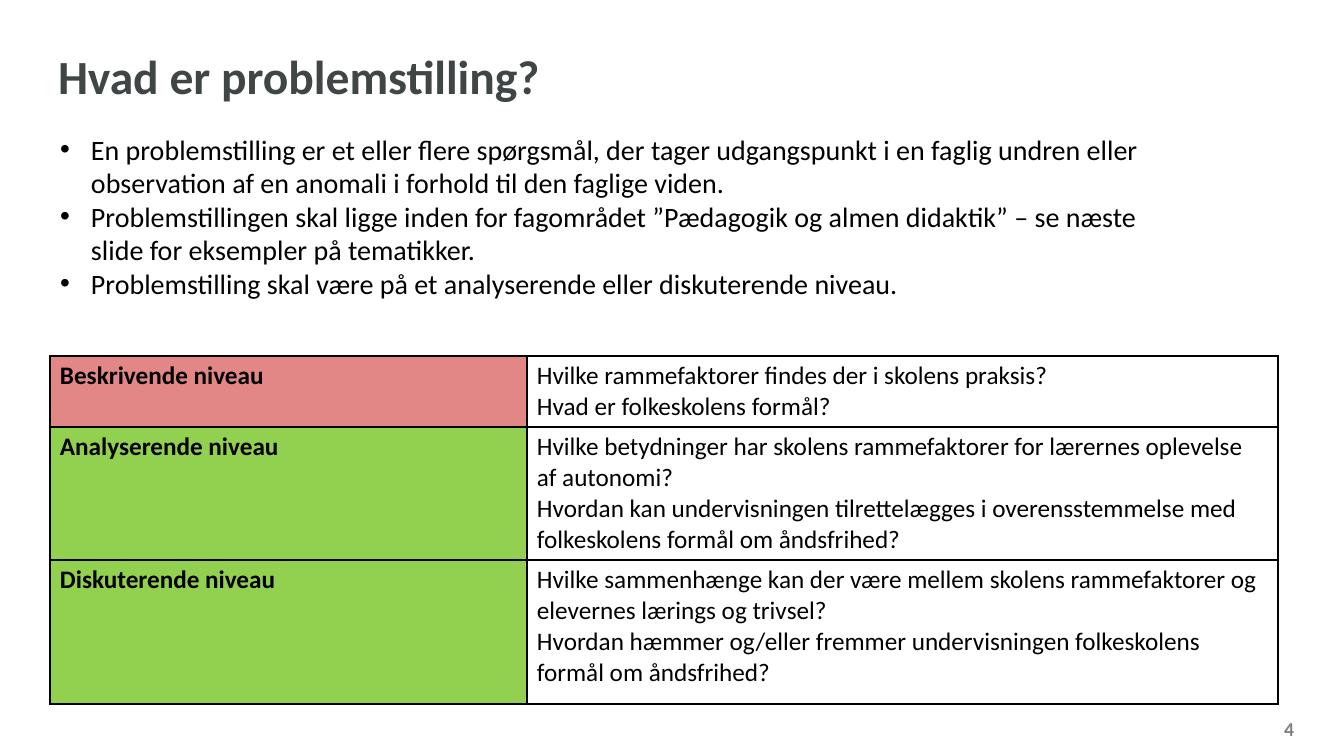
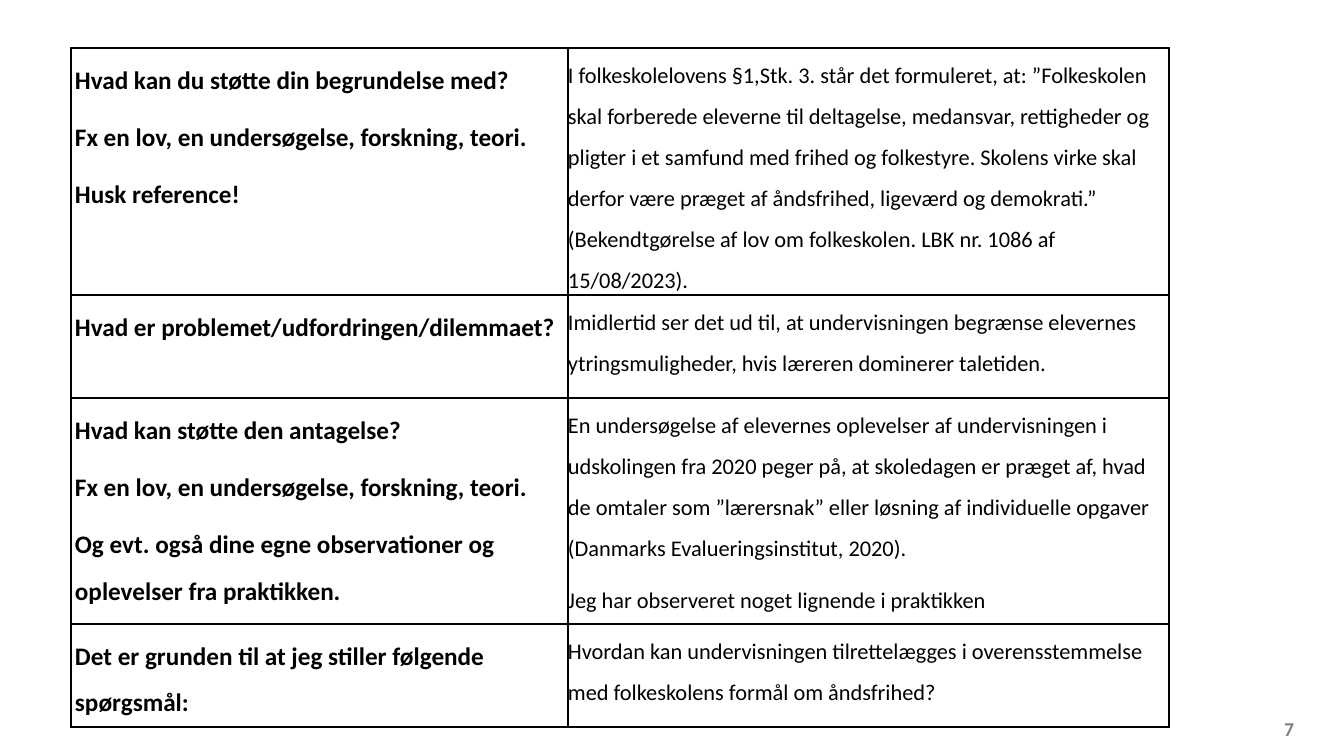
import pptx
import pptx.util
import pptx.dml.color
import pptx.enum.text
import pptx.oxml.ns
import lxml.etree

PX = 914400 / 100.8
FONT = "Calibri"
HUES = {"text": "000000", "title": "404646", "page": "808080",
        "line": "000000", "red": "E38686", "green": "92D050"}
ALIGN = pptx.enum.text.PP_ALIGN
ANCHOR = pptx.enum.text.MSO_ANCHOR

LEVELS = [
    ("Beskrivende niveau", "red",
     ["Hvilke rammefaktorer findes der i skolens praksis?",
      "Hvad er folkeskolens formål?"]),
    ("Analyserende niveau", "green",
     ["Hvilke betydninger har skolens rammefaktorer for lærernes oplevelse af autonomi?",
      "Hvordan kan undervisningen tilrettelægges i overensstemmelse med folkeskolens formål om åndsfrihed?"]),
    ("Diskuterende niveau", "green",
     ["Hvilke sammenhænge kan der være mellem skolens rammefaktorer og elevernes lærings og trivsel?",
      "Hvordan hæmmer og/eller fremmer undervisningen folkeskolens formål om åndsfrihed?"]),
]
POINTS = [
    "En problemstilling er et eller flere spørgsmål, der tager udgangspunkt i en faglig undren eller observation af en anomali i forhold til den faglige viden.",
    "Problemstillingen skal ligge inden for fagområdet ”Pædagogik og almen didaktik” – se næste slide for eksempler på tematikker.",
    "Problemstilling skal være på et analyserende eller diskuterende niveau.",
]
STEPS = [
    (["Hvad kan du støtte din begrundelse med?",
      "Fx en lov, en undersøgelse, forskning, teori.",
      "Husk reference!"],
     ["I folkeskolelovens §1,Stk. 3. står det formuleret, at: ”Folkeskolen skal forberede eleverne til deltagelse, medansvar, rettigheder og pligter i et samfund med frihed og folkestyre. Skolens virke skal derfor være præget af åndsfrihed, ligeværd og demokrati.” (Bekendtgørelse af lov om folkeskolen. LBK nr. 1086 af 15/08/2023)."]),
    (["Hvad er problemet/udfordringen/dilemmaet?"],
     ["Imidlertid ser det ud til, at undervisningen begrænse elevernes ytringsmuligheder, hvis læreren dominerer taletiden."]),
    (["Hvad kan støtte den antagelse?",
      "Fx en lov, en undersøgelse, forskning, teori.",
      "Og evt. også dine egne observationer og oplevelser fra praktikken."],
     ["En undersøgelse af elevernes oplevelser af undervisningen i udskolingen fra 2020 peger på, at skoledagen er præget af, hvad de omtaler som ”lærersnak” eller løsning af individuelle opgaver (Danmarks Evalueringsinstitut, 2020).",
      "Jeg har observeret noget lignende i praktikken"]),
    (["Det er grunden til at jeg stiller følgende spørgsmål:"],
     ["Hvordan kan undervisningen tilrettelægges i overensstemmelse med folkeskolens formål om åndsfrihed?"]),
]


def emu(px):
    """Turn px into EMU."""
    return pptx.util.Emu(round(px * PX))


def tint(name):
    """Give the named colour."""
    return pptx.dml.color.RGBColor.from_string(HUES[name])


def child(node, tag, **attrs):
    """Add a drawing element below a node."""
    part = lxml.etree.SubElement(node, pptx.oxml.ns.qn(tag))
    for key, value in attrs.items():
        part.set(key, str(value))
    return part


def write(frame, lines, size=18, bold=False, hue="text", align=None,
          space=None, after=None, bullet=0):
    """Fill a text frame with one paragraph for each line."""
    for i, line in enumerate(lines):
        para = frame.add_paragraph() if i else frame.paragraphs[0]
        para.alignment = align
        para.line_spacing = space
        if after is not None:
            para.space_after = pptx.util.Pt(after)
        if bullet:
            props = para._p.get_or_add_pPr()
            props.set("marL", str(emu(bullet)))
            props.set("indent", str(-emu(bullet)))
            child(props, "a:buFont", typeface="Arial")
            child(props, "a:buChar", char="•")
        run = para.add_run()
        run.text = line
        run.font.name = FONT
        run.font.size = pptx.util.Pt(size)
        run.font.bold = bold
        run.font.color.rgb = tint(hue)


def inset(item, side, top):
    """Set the margins of a cell or text frame."""
    item.margin_left = item.margin_right = emu(side)
    item.margin_top = item.margin_bottom = emu(top)


def label(slide, box, lines, side=0, top=0, anchor=ANCHOR.TOP, **form):
    """Place a text box."""
    frame = slide.shapes.add_textbox(*map(emu, box)).text_frame
    frame.word_wrap = True
    frame.vertical_anchor = anchor
    inset(frame, side, top)
    write(frame, lines, **form)


def edge(cell):
    """Draw the four borders of a cell."""
    props = cell._tc.get_or_add_tcPr()
    for side in "LRTB":
        line = child(props, "a:ln" + side, w=12700)
        fill = child(line, "a:solidFill")
        child(fill, "a:srgbClr", val=HUES["line"])


def grid(slide, spot, cols, rows, cells):
    """Place a table whose cells are (lines, fill, margins, format)."""
    table = slide.shapes.add_table(
        len(rows), len(cols), *map(emu, (*spot, sum(cols), sum(rows)))).table
    table.first_row = table.horz_banding = False
    for col, wide in zip(table.columns, cols):
        col.width = emu(wide)
    for row, high in zip(table.rows, rows):
        row.height = emu(high)
    for r, line in enumerate(cells):
        for c, (lines, fill, gaps, form) in enumerate(line):
            cell = table.cell(r, c)
            inset(cell, *gaps)
            edge(cell)
            if fill:
                cell.fill.solid()
                cell.fill.fore_color.rgb = tint(fill)
            else:
                cell.fill.background()
            write(cell.text_frame, lines, **form)


def base(deck, page):
    """Add a blank slide with its page number."""
    slide = deck.slides.add_slide(deck.slide_layouts[6])
    label(slide, (1251, 720, 43, 20), [str(page)], anchor=ANCHOR.BOTTOM,
          size=14, bold=True, hue="page", align=ALIGN.RIGHT)
    return slide


def levels(deck):
    """Build the slide on the levels of a question."""
    slide = base(deck, 4)
    gaps = (10, 5)
    grid(slide, (50, 356), (477, 751), (71, 133, 144),
         [[([name], fill, gaps, {"bold": True}), (asks, None, gaps, {})]
          for name, fill, asks in LEVELS])
    label(slide, (58, 28, 944, 103), ["Hvad er problemstilling?"],
          anchor=ANCHOR.MIDDLE, size=34, bold=True, hue="title", space=0.88)
    label(slide, (50, 127, 1151, 179), POINTS, side=10, top=5,
          size=20, bullet=31)


def steps(deck):
    """Build the slide on the steps of an argument."""
    slide = base(deck, 7)
    form = {"space": 1.5, "after": 8}
    grid(slide, (71, 48), (497, 601), (247, 103, 226, 103),
         [[(asks, None, (4, 2), {"bold": True, **form}),
           (says, None, (0, 0), {"size": 16, **form})]
          for asks, says in STEPS])


def main():
    """Build and save the deck."""
    deck = pptx.Presentation()
    deck.slide_width, deck.slide_height = emu(1344), emu(756)
    levels(deck)
    steps(deck)
    deck.save("out.pptx")


if __name__ == "__main__":
    main()
